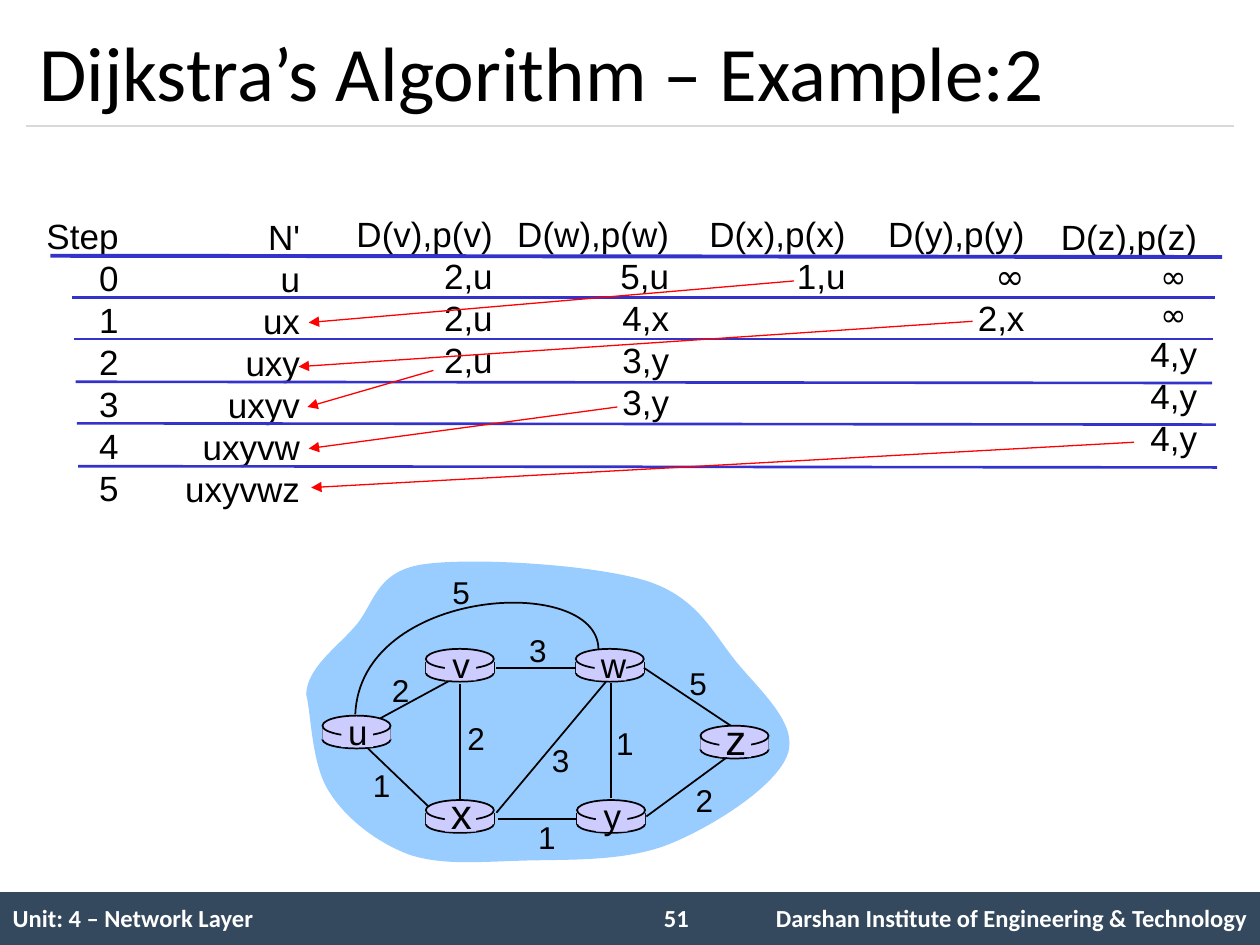
from pptx import Presentation
from pptx.dml.color import RGBColor
from pptx.enum.shapes import MSO_CONNECTOR, MSO_SHAPE
from pptx.enum.text import MSO_ANCHOR, MSO_AUTO_SIZE, PP_ALIGN
from pptx.oxml.ns import qn
from pptx.util import Inches, Pt
from lxml import etree

STRAIGHT = MSO_CONNECTOR.STRAIGHT
RECT, OVAL = MSO_SHAPE.RECTANGLE, MSO_SHAPE.OVAL
LEFT, CENTER, RIGHT = PP_ALIGN.LEFT, PP_ALIGN.CENTER, PP_ALIGN.RIGHT
MIDDLE = MSO_ANCHOR.MIDDLE
FIT_SHAPE, NO_FIT = MSO_AUTO_SIZE.SHAPE_TO_FIT_TEXT, MSO_AUTO_SIZE.NONE
TITLE_ONLY = 5
NO_TABLE_STYLE = "{2D5ABB26-0587-4C30-8999-92F81FD0307C}"
COLORS = {"black": "000000", "white": "FFFFFF", "footer": "34495E", "divider": "D9D9D9",
          "rule": "3333CC", "arrow": "FF0000", "cloud": "99CCFF", "router": "CCCCFF"}

# Left, top, width, height and entries of each column of the step table
STEP_COLUMNS = [
    (0.26, 1.65, 0.78, 2.43, ["Step", "0", "1", "2", "3", "4", "5"]),
    (1.37, 1.66, 1.11, 2.43, ["N'", "u", "ux", "uxy", "uxyv", "uxyvw", "uxyvwz"]),
    (2.73, 1.64, 1.28, 1.43, ["D(v),p(v)", "2,u", "2,u", "2,u"]),
    (3.98, 1.64, 1.43, 1.77, ["D(w),p(w)", "5,u", "4,x", "3,y", "3,y"]),
    (5.53, 1.64, 1.28, 0.77, ["D(x),p(x)", "1,u"]),
    (6.95, 1.64, 1.28, 1.10, ["D(y),p(y)", "∞", "2,x"]),
    (8.32, 1.66, 1.28, 2.03, ["D(z),p(z)", "∞ ", "∞ ", "4,y", "4,y", "4,y"]),
]
ROW_RULES = [(0.57, 2.36, 9.64, 2.36), (0.59, 2.69, 9.63, 2.69), (0.60, 3.03, 9.62, 3.04),
             (0.61, 3.36, 9.65, 3.37), (0.62, 3.70, 9.66, 3.71)]
CHOICE_ARROWS = [(6.30, 2.23, 2.45, 2.56), (7.72, 2.55, 2.37, 2.91), (3.44, 2.94, 2.44, 3.23),
                 (4.90, 3.23, 2.45, 3.56), (9.00, 3.51, 2.47, 3.87)]
# Left, top and label size of each router
ROUTERS = {"u": (2.56, 5.68, 20), "y": (4.58, 6.35, 20), "x": (3.38, 6.35, 24),
           "w": (4.57, 5.15, 20), "v": (3.38, 5.15, 20), "z": (5.56, 5.76, 24)}
EDGES = [(3.02, 5.70, 3.61, 5.38), (4.85, 5.42, 4.85, 6.33), (3.65, 5.43, 3.65, 6.36),
         (3.94, 6.45, 4.81, 5.41), (5.13, 6.48, 5.77, 6.01), (4.58, 6.50, 3.95, 6.50),
         (3.40, 6.40, 2.92, 5.94), (4.57, 5.30, 3.94, 5.30), (5.80, 5.76, 5.11, 5.30)]
EDGE_COSTS = [("2", 3.01, 5.28), ("2", 3.61, 5.66), ("1", 2.86, 6.03), ("3", 4.28, 5.83),
              ("1", 4.17, 6.44), ("1", 4.79, 5.70), ("2", 5.42, 6.15), ("5", 5.37, 5.22),
              ("3", 4.10, 4.96), ("5", 3.49, 4.50)]
# Each curve is a start point followed by Bezier segments of three points
CLOUD = [(2.43, 5.51),
         (2.44, 5.30), (2.66, 5.15), (2.81, 4.98), (2.97, 4.81), (2.97, 4.54), (3.35, 4.48),
         (3.74, 4.42), (4.71, 4.48), (5.13, 4.61), (5.54, 4.74), (5.66, 5.03), (5.85, 5.26),
         (6.04, 5.49), (6.34, 5.75), (6.25, 5.99), (6.16, 6.24), (5.66, 6.56), (5.31, 6.70),
         (4.96, 6.84), (4.50, 6.82), (4.16, 6.83), (3.81, 6.84), (3.50, 6.87), (3.24, 6.78),
         (2.98, 6.68), (2.74, 6.49), (2.61, 6.28), (2.47, 6.06), (2.47, 5.66), (2.43, 5.51)]
ARC_U_W = [(4.75, 5.15), (4.74, 4.55), (2.86, 4.66), (2.82, 5.67)]


def rgb(name):
    return RGBColor.from_string(COLORS[name])


def style_font(font, size, name="Arial", color="black", bold=False):
    font.size, font.name, font.bold = Pt(size), name, bold
    font.color.rgb = rgb(color)


def paint(shape, fill=None, line=None):
    shape.shadow.inherit = False
    if fill:
        shape.fill.solid()
        shape.fill.fore_color.rgb = rgb(fill)
    else:
        shape.fill.background()
    if line:
        shape.line.color.rgb = rgb(line)
        shape.line.width = Pt(1)
    else:
        shape.line.fill.background()


def add_block(shapes, kind, left, top, width, height, fill, line=None):
    block = shapes.add_shape(kind, Inches(left), Inches(top), Inches(width), Inches(height))
    paint(block, fill, line)


def add_line(shapes, ends, color="black", width=1, arrow=False):
    line = shapes.add_connector(STRAIGHT, *(Inches(value) for value in ends))
    line.line.color.rgb = rgb(color)
    line.line.width = Pt(width)
    if arrow:
        etree.SubElement(line.line._get_or_add_ln(), qn("a:tailEnd"), type="triangle")
    etree.SubElement(line._element.spPr, qn("a:effectLst"))


def add_curve(shapes, points, fill=None, line=None, closed=False):
    """Build a freeform on the control points and turn its lines into Bezier segments."""
    start, *rest = [(Inches(x), Inches(y)) for x, y in points]
    builder = shapes.build_freeform(*start)
    builder.add_line_segments(rest, close=closed)
    curve = builder.convert_to_shape()
    lines = list(curve._element.spPr.iter(qn("a:lnTo")))
    for first in range(0, len(rest), 3):
        bezier = etree.Element(qn("a:cubicBezTo"))
        lines[first].addprevious(bezier)
        for segment in lines[first:first + 3]:
            bezier.append(segment[0])
            segment.getparent().remove(segment)
    paint(curve, fill, line)


def add_text(shapes, left, top, width, height, lines, size=20, align=CENTER, **font):
    """Add an unwrapped text box and return its paragraphs."""
    box = shapes.add_textbox(Inches(left), Inches(top), Inches(width), Inches(height))
    frame = box.text_frame
    frame.word_wrap = False
    frame.auto_size = FIT_SHAPE
    frame.text = "\n".join(lines)
    for para in frame.paragraphs:
        para.alignment = align
        style_font(para.font, size, **font)
    return frame.paragraphs


def add_title(slide):
    title = slide.shapes.title
    title.left, title.top = Inches(0.21), Inches(0.12)
    title.width, title.height = Inches(9.58), Inches(0.88)
    frame = title.text_frame
    frame.text = "Dijkstra’s Algorithm – Example:2"
    frame.vertical_anchor = MIDDLE
    frame.auto_size = NO_FIT
    para = frame.paragraphs[0]
    para.alignment = LEFT
    style_font(para.font, 44, "Calibri")
    add_line(slide.shapes, (0.21, 1, 9.79, 1), "divider", 0.75)


def add_footer(shapes):
    add_block(shapes, RECT, 0, 7.08, 10, 0.42, "footer")
    table = shapes.add_table(1, 3, 0, Inches(7.08), Inches(10), Inches(0.43)).table
    table.first_row = table.horz_banding = False
    table._tbl.tblPr.find(qn("a:tableStyleId")).text = NO_TABLE_STYLE
    contents = [(5.08, "Unit: 4 – Network Layer", LEFT), (0.67, "", CENTER),
                (4.25, "Darshan Institute of Engineering & Technology", RIGHT)]
    for index, (width, text, align) in enumerate(contents):
        table.columns[index].width = Inches(width)
        cell = table.cell(0, index)
        cell.fill.background()
        cell.vertical_anchor = MIDDLE
        cell.text = text
        para = cell.text_frame.paragraphs[0]
        para.alignment = align
        style_font(para.font, 14, "Calibri", "white", True)
    add_text(shapes, 5.17, 7.12, 0.58, 0.34, ["51"], 14, LEFT,
             name="Calibri", color="white", bold=True)


def add_step_table(shapes):
    for *place, entries in STEP_COLUMNS:
        for para in add_text(shapes, *place, entries, align=RIGHT):
            if "∞" in para.text:
                style_font(para.font, 18 if para.text.endswith(" ") else 20, "Comic Neue")
    add_line(shapes, (0.4, 2.03, 9.7, 2.04), "rule", 2.25)
    for ends in ROW_RULES:
        add_line(shapes, ends, "rule", 1.5)


def add_router(shapes, left, top):
    add_block(shapes, OVAL, left, top + 0.12, 0.54, 0.14, "router", "black")
    for side in (left, left + 0.54):
        add_line(shapes, (side, top + 0.1, side, top + 0.19))
    add_block(shapes, RECT, left, top + 0.1, 0.54, 0.09, "router")
    add_block(shapes, OVAL, left, top, 0.54, 0.16, "router", "black")


def add_router_label(shapes, name, left, top, size):
    add_block(shapes, RECT, left + 0.15, top + 0.02, 0.25, 0.23, "router")
    rise, height = (0.15, 0.5) if size == 24 else (0.09, 0.43)
    add_text(shapes, left + 0.1, top - rise, 0.36, height, [name], size)


def add_network(shapes):
    add_curve(shapes, CLOUD, fill="cloud", closed=True)
    for left, top, _ in ROUTERS.values():
        add_router(shapes, left, top)
    for ends in EDGES:
        add_line(shapes, ends)
    add_curve(shapes, ARC_U_W, line="black")
    for name, place in ROUTERS.items():
        add_router_label(shapes, name, *place)
    for cost, left, top in EDGE_COSTS:
        add_text(shapes, left, top, 0.34, 0.4, [cost], 18)


def main():
    deck = Presentation()
    deck.slide_width, deck.slide_height = Inches(10), Inches(7.5)
    slide = deck.slides.add_slide(deck.slide_layouts[TITLE_ONLY])
    add_footer(slide.shapes)
    add_title(slide)
    add_step_table(slide.shapes)
    add_network(slide.shapes.add_group_shape().shapes)
    for ends in CHOICE_ARROWS:
        add_line(slide.shapes, ends, "arrow", 0.75, arrow=True)
    deck.save("out.pptx")


if __name__ == "__main__":
    main()
